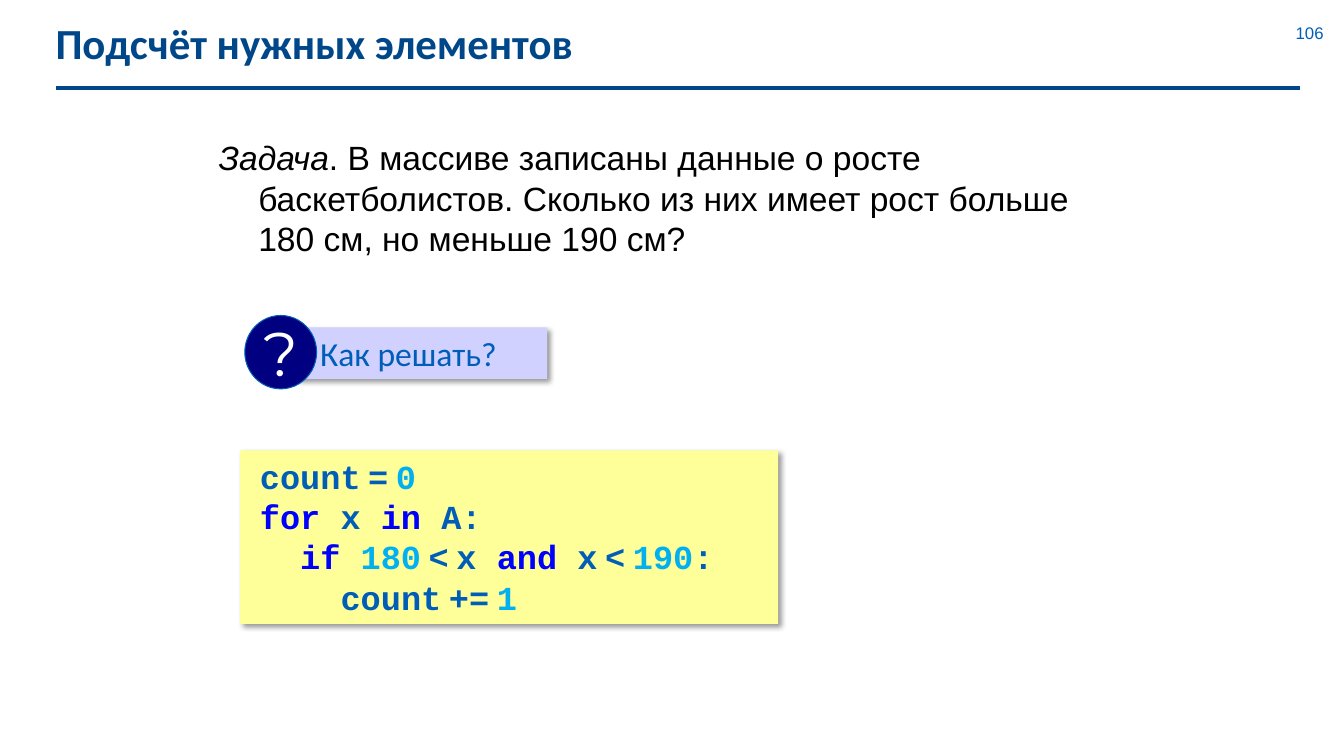
from dataclasses import dataclass

from lxml import etree
from pptx import Presentation
from pptx.dml.color import RGBColor
from pptx.enum import shapes, text
from pptx.oxml import ns
from pptx.util import Cm, Pt


@dataclass(frozen=True)
class Theme:
    title: str = "00478A"
    blue: str = "005EB8"
    keyword: str = "0000FF"
    number: str = "00B0F0"
    black: str = "000000"
    white: str = "FFFFFF"
    code_fill: str = "FFFF99"
    hint_fill: str = "D1D1FF"
    badge_fill: str = "000080"
    title_size: float = 30.6
    body_size: float = 24
    gap_size: float = 9
    mark_size: float = 44
    number_size: float = 12
    leading: float = 28.8


T = Theme()

TASK = ("Задача", ". В массиве записаны данные о росте баскетболистов. "
        "Сколько из них имеет рост больше ", "180 см, но меньше 190 см?")

# Each token is (kind, text); an operator gets narrow gaps on both sides.
CODE = [
    [("name", "count"), ("op", "="), ("number", "0")],
    [("keyword", "for"), ("name", " x "), ("keyword", "in"), ("name", " A:")],
    [("keyword", "  if "), ("number", "180"), ("op", "<"), ("name", "x "),
     ("keyword", "and"), ("name", " x"), ("op", "<"), ("number", "190"),
     ("name", ":")],
    [("name", "    count"), ("op", "+="), ("number", "1")],
]


def style(font, name, size, color, bold=False):
    font.name, font.size, font.bold = name, Pt(size), bold
    font.color.rgb = RGBColor.from_string(color)


def set_indent(p, left, first):
    pPr = p._p.get_or_add_pPr()
    pPr.set("marL", str(Cm(left)))
    pPr.set("indent", str(Cm(first)))


def frame(sp, left=0.25, top=0.13, right=0.25, bottom=0.13,
          anchor=text.MSO_ANCHOR.TOP, wrap=True):
    """Set margins, anchor and wrapping; return the text frame."""
    tf = sp.text_frame
    tf.margin_left, tf.margin_top = Cm(left), Cm(top)
    tf.margin_right, tf.margin_bottom = Cm(right), Cm(bottom)
    tf.vertical_anchor, tf.word_wrap = anchor, wrap
    return tf


def add_textbox(s, box):
    return s.shapes.add_textbox(*map(Cm, box))


def add_filled(parent, preset, box, fill, line=None, shadow=False):
    sp = parent.add_shape(preset, *map(Cm, box))
    sp.fill.solid()
    sp.fill.fore_color.rgb = RGBColor.from_string(fill)
    if line:
        sp.line.color.rgb = RGBColor.from_string(line)
        sp.line.width = Pt(0.75)
    else:
        sp.line.fill.background()
    sp.shadow.inherit = False
    if shadow:
        effects = sp._element.spPr.find(ns.qn("a:effectLst"))
        outer = etree.SubElement(
            effects, ns.qn("a:outerShdw"), blurRad=str(Pt(4)), dist=str(Pt(3)),
            dir=str(45 * 60000), algn="tl", rotWithShape="0")
        color = etree.SubElement(outer, ns.qn("a:srgbClr"), val=T.black)
        etree.SubElement(color, ns.qn("a:alpha"), val="40000")
    return sp


def add_header(s, box, title):
    """Title with a rule below it."""
    x, y, w, h = box
    rule = s.shapes.add_connector(
        shapes.MSO_CONNECTOR.STRAIGHT,
        Cm(x + 0.25), Cm(y + 1.78), Cm(x + 31.6), Cm(y + 1.78))
    rule.line.color.rgb = RGBColor.from_string(T.title)
    rule.line.width = Pt(3)
    etree.SubElement(rule._element.spPr, ns.qn("a:effectLst"))
    p = frame(add_textbox(s, box), top=0).paragraphs[0]
    p.text = title
    style(p.font, "Calibri", T.title_size, T.title, bold=True)


def add_page_number(s, box, number):
    tf = frame(add_textbox(s, box), 0, 0, 0, 0, text.MSO_ANCHOR.MIDDLE)
    p = tf.paragraphs[0]
    p.text = str(number)
    p.alignment = text.PP_ALIGN.CENTER
    style(p.font, "Arial", T.number_size, T.blue)


def add_task(s, box, parts):
    label, body, last_line = parts
    p = frame(add_textbox(s, box)).paragraphs[0]
    set_indent(p, 1, -1)
    p.line_spacing = Pt(T.leading)
    r = p.add_run()
    r.text = label
    r.font.italic = True
    p.add_run().text = body
    p.add_line_break()
    p.add_run().text = last_line
    for r in p.runs:
        style(r.font, "Arial", T.body_size, T.black)


def add_code(s, box, lines):
    sp = add_filled(s.shapes, shapes.MSO_SHAPE.RECTANGLE, box, T.code_fill,
                    shadow=True)
    tf = frame(sp)
    colors = {"name": T.blue, "op": T.blue, "keyword": T.keyword,
              "number": T.number}
    for i, tokens in enumerate(lines):
        p = tf.paragraphs[0] if i == 0 else tf.add_paragraph()
        set_indent(p, 0.5, -0.25)
        p.alignment = text.PP_ALIGN.JUSTIFY
        p.line_spacing = Pt(T.leading)
        for kind, token in tokens:
            for piece in (" ", token, " ") if kind == "op" else (token,):
                r = p.add_run()
                r.text = piece
                size = T.gap_size if piece == " " else T.body_size
                style(r.font, "Courier New", size, colors[kind], bold=True)


def add_question(s, box, question):
    """Hint bar with a round question mark overlapping its left end."""
    x, y, w, h = box
    group = s.shapes.add_group_shape().shapes
    bar = add_filled(group, shapes.MSO_SHAPE.RECTANGLE,
                     (x + 1.3, y + 0.3, w - 1.3, 1.3), T.hint_fill, shadow=True)
    p = frame(bar, left=0.6).paragraphs[0]
    p.text = question
    p.alignment = text.PP_ALIGN.LEFT
    style(p.font, "Calibri", T.body_size, T.blue)
    badge = add_filled(group, shapes.MSO_SHAPE.OVAL, (x, y, 1.81, h),
                       T.badge_fill, line=T.blue)
    tf = frame(badge, anchor=text.MSO_ANCHOR.MIDDLE, wrap=False)
    p = tf.paragraphs[0]
    p.text = "?"
    p.alignment = text.PP_ALIGN.CENTER
    style(p.font, "Montserrat", T.mark_size, T.white)


def main():
    prs = Presentation()
    prs.slide_width, prs.slide_height = Cm(33.87), Cm(19.05)
    s = prs.slides.add_slide(prs.slide_layouts[6])
    add_header(s, (1.15, 0.43, 31, 1.32), "Подсчёт нужных элементов")
    add_page_number(s, (31.19, 0.56, 3.63, 0.51), 106)
    add_task(s, (5.26, 3.33, 23.7, 3.33), TASK)
    add_code(s, (6.05, 11.35, 13.56, 4.37), CODE)
    add_question(s, (6.17, 7.95, 7.62, 1.85), "Как решать?")
    prs.save("out.pptx")


if __name__ == "__main__":
    main()
